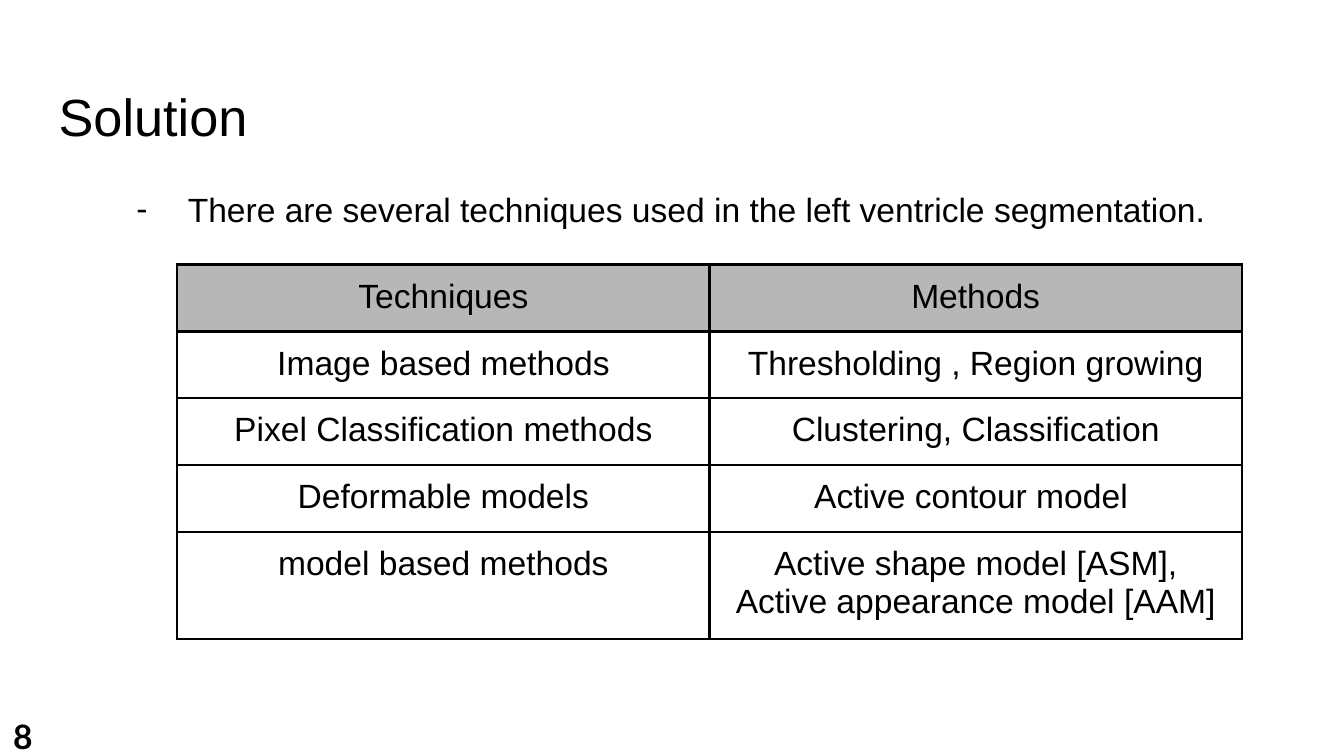
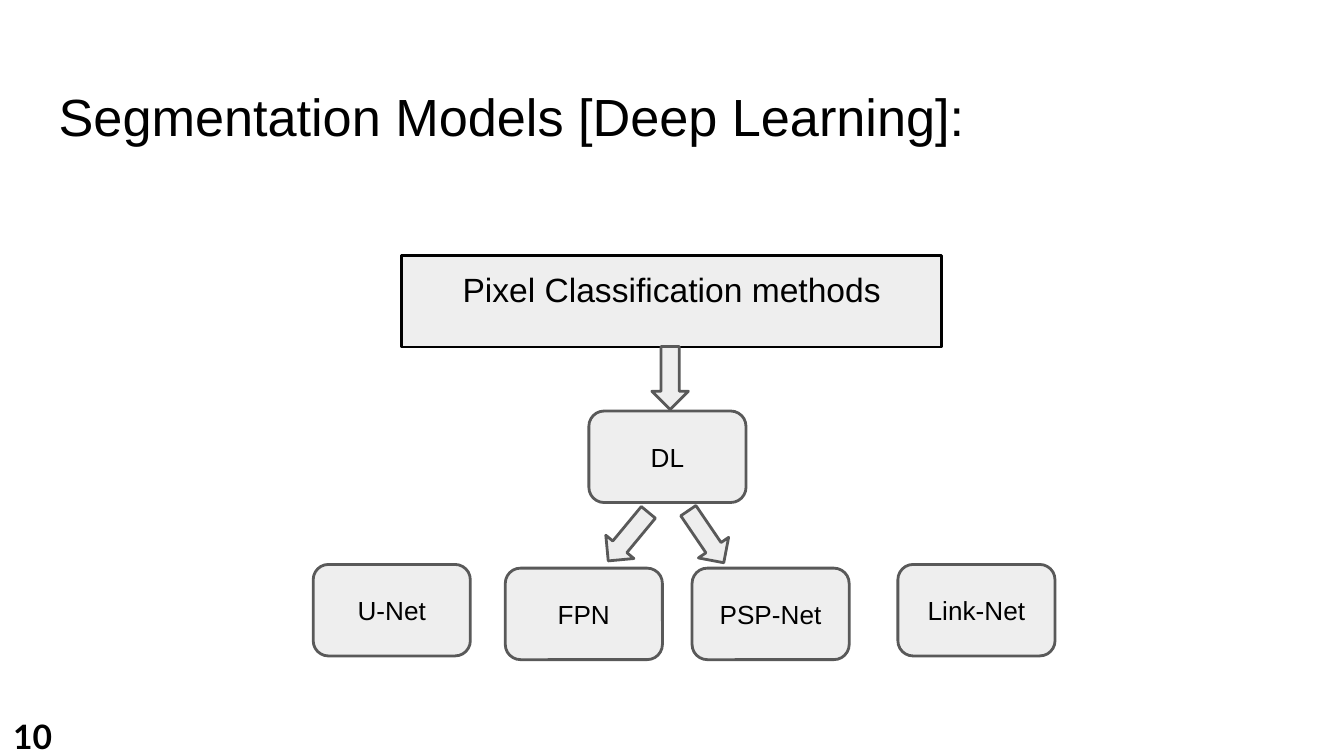
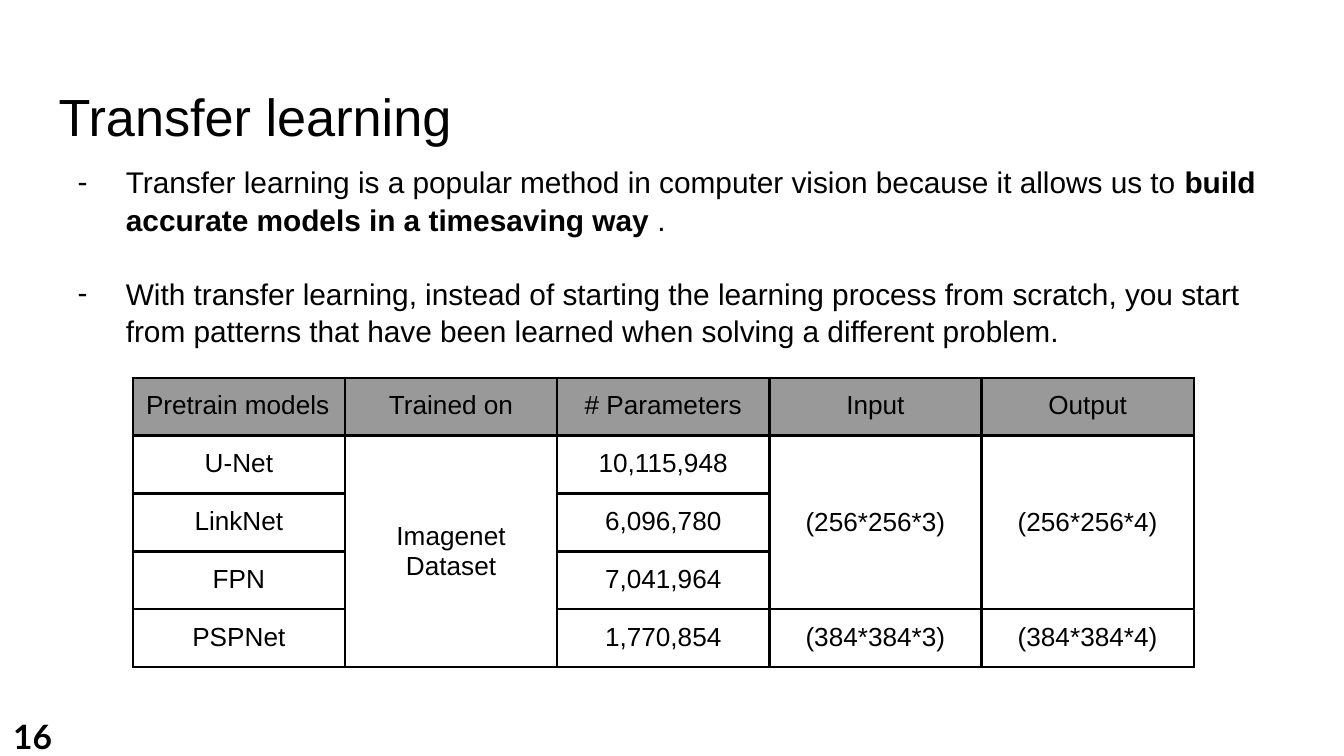
"""Build three slides on left ventricle segmentation techniques and models."""

from dataclasses import dataclass
from typing import NamedTuple, Optional

import lxml.etree
import pptx
import pptx.dml.color
import pptx.enum.shapes
import pptx.enum.text
import pptx.oxml.ns
import pptx.presentation
import pptx.shapes.autoshape
import pptx.slide
import pptx.table
import pptx.text.text
import pptx.util

Cm = pptx.util.Cm
Pt = pptx.util.Pt
qn = pptx.oxml.ns.qn
ShapeKind = pptx.enum.shapes.MSO_SHAPE
Anchor = pptx.enum.text.MSO_ANCHOR
Align = pptx.enum.text.PP_ALIGN


@dataclass(frozen=True)
class Theme:
    font: str = "Arial"
    number_font: str = "Lato"
    ink: str = "000000"
    paper: str = "FFFFFF"
    node_fill: str = "EEEEEE"
    node_line: str = "595959"
    light_header: str = "B7B7B7"
    dark_header: str = "999999"
    title_size: float = 28
    large_size: float = 18
    body_size: float = 16
    small_size: float = 14
    line_width: float = 1.5
    inset: float = 0.25


THEME = Theme()


class Box(NamedTuple):
    left: float
    top: float
    width: float
    height: float

    def lengths(self) -> list[pptx.util.Length]:
        return [Cm(value) for value in self]


class Words(NamedTuple):
    text: str
    bold: bool = False


class Bullet(NamedTuple):
    words: list[Words]
    space_before: float = 0


class BulletStyle(NamedTuple):
    size: float
    hanging: float
    line_spacing: float


class Node(NamedTuple):
    label: str
    left: float
    top: float


class Arrow(NamedTuple):
    left: float
    top: float
    rotation: float = 0


class Span(NamedTuple):
    column: int
    first_row: int
    last_row: int


@dataclass(frozen=True)
class Grid:
    left: float
    top: float
    column_width: float
    header_fill: str
    size: float
    rows: list[list[str]]
    spans: tuple[Span, ...] = ()
    left_aligned: tuple[tuple[int, int], ...] = ()
    row_height: float = 1.07


TITLE_BOX = Box(0.86, 1.24, 23.67, 1.6)
TITLE_TOP_INSET = 0.36
NODE_SIZE = (2.97, 1.73)
ARROW_SIZE = (0.69, 1.19)

TECHNIQUES = Grid(3.35, 5, 10.06, THEME.light_header, THEME.large_size, [
    ["Techniques", "Methods"],
    ["Image based methods", "Thresholding , Region growing"],
    ["Pixel Classification methods", "Clustering, Classification"],
    ["Deformable models", "Active contour model "],
    ["model based methods", "Active shape model [ASM],\nActive appearance model [AAM]"],
])

PRETRAINED = Grid(
    2.51, 7.14, 4.01, THEME.dark_header, THEME.small_size,
    [
        ["Pretrain models", "Trained on", "# Parameters", "Input", "Output"],
        ["U-Net", "Imagenet\nDataset", "10,115,948", "(256*256*3)", "(256*256*4)"],
        ["LinkNet", "", "6,096,780", "", ""],
        ["FPN", "", "7,041,964", "", ""],
        ["PSPNet", "", "1,770,854", "(384*384*3)", "(384*384*4)"],
    ],
    spans=(Span(1, 1, 4), Span(3, 1, 3), Span(4, 1, 3)),
    left_aligned=((0, 0),),
)

NODES = [
    Node("DL", 11.13, 7.77),
    Node("U-Net", 5.92, 10.67),
    Node("FPN", 9.55, 10.74),
    Node("PSP-Net", 13.08, 10.74),
    Node("Link-Net", 16.97, 10.67),
]

ARROWS = [Arrow(12.32, 6.55), Arrow(11.53, 9.55, 39.6), Arrow(13, 9.55, 325.8)]

TRANSFER_BULLETS = [
    Bullet([
        Words("Transfer learning is a popular method in computer vision because it allows us to "),
        Words("build accurate models in a timesaving way", bold=True),
        Words(" ."),
    ]),
    Bullet([
        Words("With transfer learning, instead of starting the learning process from scratch, "
              "you start from patterns that have been learned when solving a different problem."),
    ], space_before=19.3),
]


def color(value: str) -> pptx.dml.color.RGBColor:
    return pptx.dml.color.RGBColor.from_string(value)


def add_words(paragraph: pptx.text.text._Paragraph, words: Words, size: float,
              font: str = THEME.font) -> None:
    for index, line in enumerate(words.text.split("\n")):
        if index:
            paragraph.add_line_break()
        run = paragraph.add_run()
        run.text = line
        run.font.name = font
        run.font.size = Pt(size)
        run.font.bold = words.bold
        run.font.color.rgb = color(THEME.ink)


def prepare_frame(frame: pptx.text.text.TextFrame, anchor: Anchor = Anchor.TOP,
                  top_inset: float = THEME.inset) -> None:
    frame.word_wrap = True
    frame.vertical_anchor = anchor
    frame.margin_left = frame.margin_right = frame.margin_bottom = Cm(THEME.inset)
    frame.margin_top = Cm(top_inset)


def add_text(slide: pptx.slide.Slide, box: Box, words: Words, size: float,
             font: str = THEME.font, top_inset: float = THEME.inset) -> None:
    frame = slide.shapes.add_textbox(*box.lengths()).text_frame
    prepare_frame(frame, top_inset=top_inset)
    add_words(frame.paragraphs[0], words, size, font)


def add_bullets(slide: pptx.slide.Slide, box: Box, bullets: list[Bullet],
                style: BulletStyle) -> None:
    frame = slide.shapes.add_textbox(*box.lengths()).text_frame
    prepare_frame(frame)
    for index, bullet in enumerate(bullets):
        paragraph = frame.add_paragraph() if index else frame.paragraphs[0]
        properties = paragraph._p.get_or_add_pPr()
        properties.set("marL", str(Cm(1.27)))
        properties.set("indent", str(-Cm(style.hanging)))
        bullet_color = lxml.etree.SubElement(properties, qn("a:buClr"))
        lxml.etree.SubElement(bullet_color, qn("a:srgbClr"), val=THEME.ink)
        lxml.etree.SubElement(properties, qn("a:buFont"), typeface=THEME.font)
        lxml.etree.SubElement(properties, qn("a:buChar"), char="-")
        paragraph.line_spacing = style.line_spacing
        if bullet.space_before:
            paragraph.space_before = Pt(bullet.space_before)
        for words in bullet.words:
            add_words(paragraph, words, style.size)


def add_block(slide: pptx.slide.Slide, kind: ShapeKind, box: Box,
              line: str = THEME.node_line) -> pptx.shapes.autoshape.Shape:
    shape = slide.shapes.add_shape(kind, *box.lengths())
    shape.shadow.inherit = False
    shape.fill.solid()
    shape.fill.fore_color.rgb = color(THEME.node_fill)
    shape.line.color.rgb = color(line)
    shape.line.width = Pt(THEME.line_width)
    return shape


def label_block(shape: pptx.shapes.autoshape.Shape, label: str, size: float,
                anchor: Anchor = Anchor.MIDDLE) -> None:
    prepare_frame(shape.text_frame, anchor)
    paragraph = shape.text_frame.paragraphs[0]
    paragraph.alignment = Align.CENTER
    add_words(paragraph, Words(label), size)


def add_cell_borders(cell: pptx.table._Cell) -> None:
    properties = cell._tc.get_or_add_tcPr()
    for index, side in enumerate(("lnL", "lnR", "lnT", "lnB")):
        border = lxml.etree.Element(qn(f"a:{side}"), w=str(Pt(THEME.line_width)))
        fill = lxml.etree.SubElement(border, qn("a:solidFill"))
        lxml.etree.SubElement(fill, qn("a:srgbClr"), val=THEME.ink)
        properties.insert(index, border)


def add_grid(slide: pptx.slide.Slide, grid: Grid) -> None:
    row_count, column_count = len(grid.rows), len(grid.rows[0])
    box = Box(grid.left, grid.top, grid.column_width * column_count,
              grid.row_height * row_count)
    table = slide.shapes.add_table(row_count, column_count, *box.lengths()).table
    table.first_row = table.horz_banding = False
    for column in table.columns:
        column.width = Cm(grid.column_width)
    for row in table.rows:
        row.height = Cm(grid.row_height)
    for row_index, texts in enumerate(grid.rows):
        for column_index, text in enumerate(texts):
            cell = table.cell(row_index, column_index)
            cell.margin_left = cell.margin_right = Cm(THEME.inset)
            cell.margin_top = cell.margin_bottom = Cm(THEME.inset)
            if row_index:
                cell.fill.background()
            else:
                cell.fill.solid()
                cell.fill.fore_color.rgb = color(grid.header_fill)
            add_cell_borders(cell)
            if text:
                paragraph = cell.text_frame.paragraphs[0]
                is_left = (row_index, column_index) in grid.left_aligned
                paragraph.alignment = Align.LEFT if is_left else Align.CENTER
                add_words(paragraph, Words(text), grid.size)
    for span in grid.spans:
        cell = table.cell(span.first_row, span.column)
        cell.merge(table.cell(span.last_row, span.column))
        cell.vertical_anchor = Anchor.MIDDLE


def add_slide(presentation: pptx.presentation.Presentation, title: str,
              number: str) -> pptx.slide.Slide:
    slide = presentation.slides.add_slide(presentation.slide_layouts[6])
    slide.background.fill.solid()
    slide.background.fill.fore_color.rgb = color(THEME.paper)
    add_text(slide, TITLE_BOX, Words(title), THEME.title_size, top_inset=TITLE_TOP_INSET)
    number_width = 0.69 if len(number) == 1 else 1.52
    add_text(slide, Box(0, 13.28, number_width, 0.76), Words(number, bold=True),
             THEME.large_size, THEME.number_font)
    return slide


def build_solution(presentation: pptx.presentation.Presentation) -> None:
    slide = add_slide(presentation, "Solution", "8")
    sentence = "There are several techniques used in the left ventricle segmentation."
    add_bullets(slide, Box(2.03, 3.2, 22.76, 1.63), [Bullet([Words(sentence)])],
                BulletStyle(THEME.large_size, 0.97, 1.15))
    add_grid(slide, TECHNIQUES)


def build_models(presentation: pptx.presentation.Presentation) -> None:
    slide = add_slide(presentation, "Segmentation Models [Deep Learning]:", "10")
    root = add_block(slide, ShapeKind.RECTANGLE, Box(7.59, 4.83, 10.21, 1.73), THEME.ink)
    label_block(root, "Pixel Classification methods", THEME.large_size, Anchor.TOP)
    for node in NODES:
        shape = add_block(slide, ShapeKind.ROUNDED_RECTANGLE,
                          Box(node.left, node.top, *NODE_SIZE))
        label_block(shape, node.label, THEME.small_size)
    for arrow in ARROWS:
        shape = add_block(slide, ShapeKind.DOWN_ARROW, Box(arrow.left, arrow.top, *ARROW_SIZE))
        shape.rotation = arrow.rotation


def build_transfer(presentation: pptx.presentation.Presentation) -> None:
    slide = add_slide(presentation, "Transfer learning", "16")
    add_bullets(slide, Box(0.86, 2.82, 23.67, 1.3), TRANSFER_BULLETS,
                BulletStyle(THEME.body_size, 0.91, 1.05))
    add_grid(slide, PRETRAINED)


def main() -> None:
    presentation = pptx.Presentation()
    presentation.slide_width = Cm(25.4)
    presentation.slide_height = Cm(14.29)
    build_solution(presentation)
    build_models(presentation)
    build_transfer(presentation)
    presentation.save("out.pptx")


if __name__ == "__main__":
    main()
